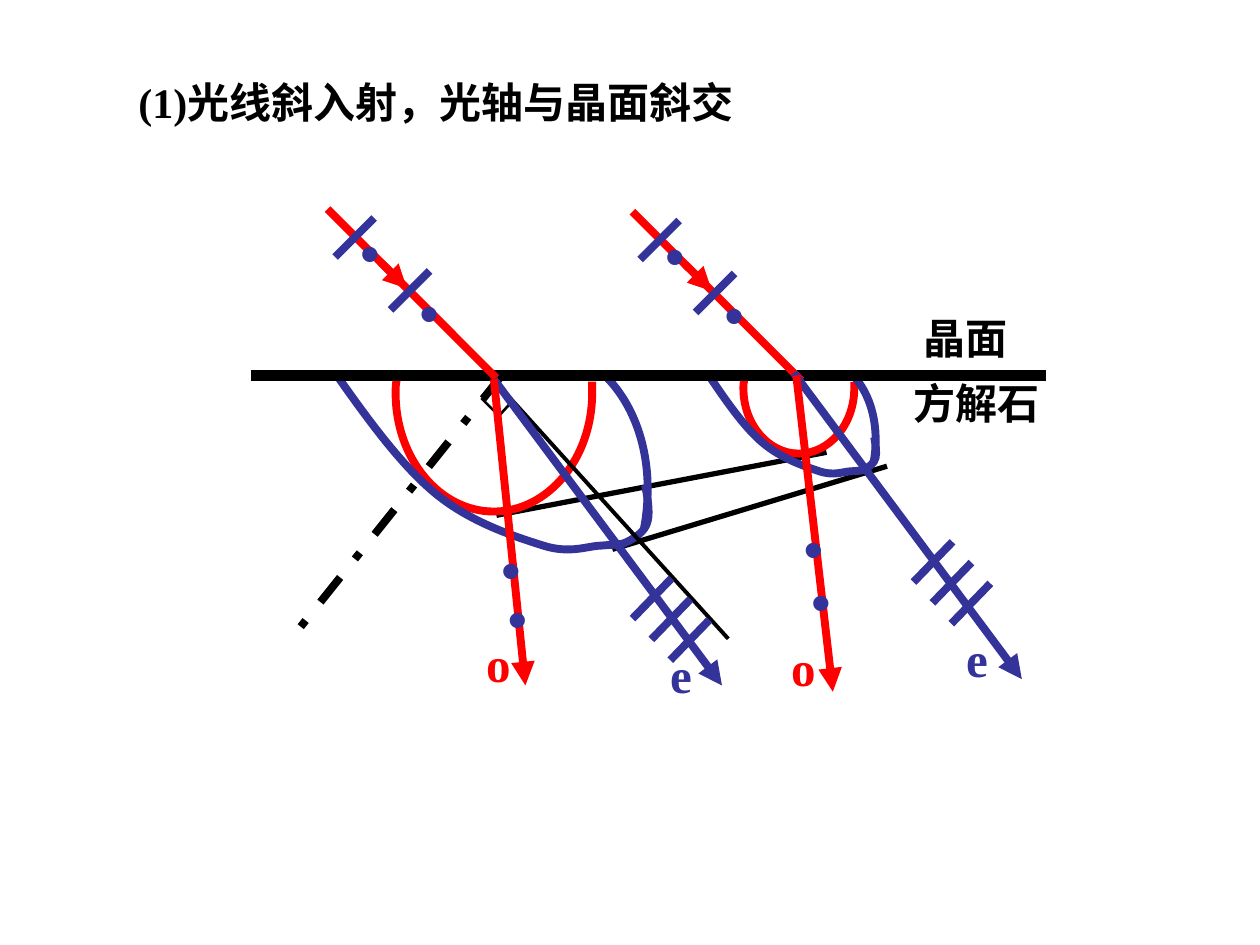
from dataclasses import dataclass

from lxml.etree import SubElement
from pptx import Presentation
from pptx.dml.color import RGBColor
from pptx.enum.dml import MSO_LINE
from pptx.enum.shapes import MSO_CONNECTOR
from pptx.enum.text import MSO_AUTO_SIZE
from pptx.oxml.ns import qn
from pptx.util import Inches, Pt

# The slide is a grid of 100 columns by 75 rows of square cells.
COLUMNS, ROWS = 100, 75
CELL = Inches(0.1)

BLACK = RGBColor(0x00, 0x00, 0x00)
RED = RGBColor(0xFF, 0x00, 0x00)
BLUE = RGBColor(0x33, 0x33, 0x99)
SERIF, SANS = "Times New Roman", "Arial"
RAY_WIDTH = 4.5

Point = tuple[float, float]


@dataclass(frozen=True)
class Box:
    left: float
    top: float
    width: float
    height: float


@dataclass(frozen=True)
class Curve:
    """Bézier points, three for each piece after the start, within a frame."""
    color: RGBColor
    width: float
    height: float
    points: tuple[Point, ...]


@dataclass(frozen=True)
class RefractedRay:
    start: Point
    end: Point
    color: RGBColor
    label: str
    label_at: Point
    first_tick: Point | None = None
    dots: tuple[Point, ...] = ()


O_WAVE = Curve(RED, 15.6, 10.5, (
    (15.6, 0.2), (15.6, 0.5), (15.6, 0.8), (15.6, 1.1), (15.6, 6.3), (12.1, 10.5),
    (7.8, 10.5), (3.5, 10.5), (0, 6.3), (0, 1.1), (0, 0.7), (0, 0.4), (0.1, 0)))
E_WAVE_SIDE = Curve(BLUE, 3.2, 12, (
    (0, 0), (2.1, 2.2), (3.2, 5.4), (3.2, 8.8), (3.2, 9.9), (3.1, 11), (2.9, 12)))
E_WAVE = Curve(BLUE, 25, 14.4, (
    (0, 0), (2.6, 3.7), (5.3, 7.4), (8, 9.6), (10.8, 11.9), (14.3, 13), (16.5, 13.7),
    (18.7, 14.4), (20.1, 13.7), (21.2, 13.7), (22.3, 13.6), (22.6, 13.7), (23.2, 13.4),
    (23.8, 13.1), (24.6, 12.6), (24.8, 11.8), (25, 11), (24.8, 9.9), (24.6, 8.9)))
WAVES = [
    (O_WAVE, Box(59, 30.2, 8.8, 5.8)), (O_WAVE, Box(31.4, 30.1, 15.6, 10.5)),
    (E_WAVE_SIDE, Box(67.8, 29.9, 1.7, 6.8)), (E_WAVE, Box(56.2, 29.7, 13.4, 8.1)),
    (E_WAVE_SIDE, Box(48.2, 30, 3.2, 12)), (E_WAVE, Box(26.6, 29.6, 25, 14.4)),
]

WAVEFRONT_TANGENTS = [((48.6, 43.6), (70.4, 37)), ((39.4, 40.9), (65.6, 35.9))]
INCIDENT_STARTS = [(26, 16.6), (50.2, 16.8)]
REFRACTED_RAYS = [
    RefractedRay((39.2, 30.1), (57.3, 54.4), BLUE, "e", (52.2, 50.7), first_tick=(53.3, 45.9)),
    RefractedRay((63, 29.6), (81.1, 53.9), BLUE, "e", (75.7, 49.4), first_tick=(75.6, 43)),
    RefractedRay((39.2, 30.1), (41.7, 54.4), RED, "o", (37.6, 49.8),
                 dots=((38.8, 41.9), (39.3, 45.8))),
    RefractedRay((63.2, 29.8), (66.1, 54.9), RED, "o", (61.8, 50.1),
                 dots=((62.8, 40.3), (63.4, 44.5))),
]


def shifted(point: Point, right: float, down: float) -> Point:
    return point[0] + right, point[1] + down


def cells(*values: float) -> list[int]:
    return [round(value * CELL) for value in values]


def add_line(shapes, start: Point, end: Point, color: RGBColor, width: float,
             arrow: bool = False, dash: MSO_LINE | None = None) -> None:
    connector = shapes.add_connector(MSO_CONNECTOR.STRAIGHT, *cells(*start, *end))
    connector.line.color.rgb = color
    connector.line.width = Pt(width)
    if dash is not None:
        connector.line.dash_style = dash
    if arrow:
        SubElement(connector.line._get_or_add_ln(), qn("a:tailEnd"), type="triangle")
    SubElement(connector._element.spPr, qn("a:effectLst"))


def add_text(shapes, text: str, box: Box, size: float, color: RGBColor,
             font_name: str = SERIF, bold: bool = True) -> None:
    text_box = shapes.add_textbox(*cells(box.left, box.top, box.width, box.height))
    text_frame = text_box.text_frame
    text_frame.text = text
    text_frame.word_wrap = True
    text_frame.auto_size = MSO_AUTO_SIZE.SHAPE_TO_FIT_TEXT
    font = text_frame.paragraphs[0].runs[0].font
    font.name, font.size, font.bold = font_name, Pt(size), bold
    font.color.rgb = color


def add_dot(shapes, position: Point) -> None:
    add_text(shapes, "•", Box(*position, 4.6, 6.4), 32, BLUE, SANS, bold=False)


def add_curve(shapes, curve: Curve, box: Box) -> None:
    """Fit the curve to the box, turning each three straight pieces into one Bézier."""
    first, *others = [
        cells(box.left + x / curve.width * box.width, box.top + y / curve.height * box.height)
        for x, y in curve.points]
    builder = shapes.build_freeform(*first)
    builder.add_line_segments(others, close=False)
    shape = builder.convert_to_shape()
    shape.shadow.inherit = False
    shape.fill.background()
    shape.line.color.rgb = curve.color
    shape.line.width = Pt(RAY_WIDTH)
    outline = next(shape._element.iter(qn("a:path")))
    segments = outline.findall(qn("a:lnTo"))
    for index in range(0, len(segments), 3):
        bezier = SubElement(outline, qn("a:cubicBezTo"))
        for segment in segments[index:index + 3]:
            bezier.append(segment[0])
            outline.remove(segment)


def add_incident_ray(shapes, start: Point) -> None:
    add_line(shapes, start, shifted(start, 13.4, 13.4), RED, RAY_WIDTH)
    add_line(shapes, shifted(start, 4.2, 4.2), shifted(start, 6.3, 6.3), RED, RAY_WIDTH, arrow=True)
    for right, down in [(0.6, 3.8), (5, 8)]:
        tick = shifted(start, right, down)
        add_line(shapes, tick, shifted(tick, 3.1, -3.1), BLUE, RAY_WIDTH)
    for right, down in [(1.6, 0.2), (6.3, 4.9)]:
        add_dot(shapes, shifted(start, right, down))


def add_refracted_ray(shapes, ray: RefractedRay) -> None:
    add_line(shapes, ray.start, ray.end, ray.color, RAY_WIDTH, arrow=True)
    if ray.first_tick:
        for number in range(3):
            tick = shifted(ray.first_tick, 1.5 * number, 1.65 * number)
            add_line(shapes, tick, shifted(tick, -3.1, 3.2), BLUE, RAY_WIDTH)
    for dot in ray.dots:
        add_dot(shapes, dot)
    add_text(shapes, ray.label, Box(*ray.label_at, 6, 5.7), 28, ray.color)


def add_crystal(shapes) -> None:
    """Draw the surface, the optic axis and its right angle with the wavefront line."""
    add_text(shapes, "晶面", Box(72.3, 24.3, 9.7, 5), 24, BLACK)
    add_text(shapes, "方解石", Box(71.5, 29.5, 12.3, 5), 24, BLACK)
    add_line(shapes, (19.9, 29.8), (83, 29.8), BLACK, 6)
    add_line(shapes, (39.9, 29.7), (23.1, 50.7), BLACK, RAY_WIDTH, dash=MSO_LINE.DASH_DOT)
    add_line(shapes, (39.5, 30.5), (57.8, 50.7), BLACK, 2.25)
    corner = (39.6, 33)
    add_line(shapes, (38.2, 31.6), corner, BLACK, 1.5)
    add_line(shapes, corner, (40.7, 31.8), BLACK, 1.5)


def main() -> None:
    presentation = Presentation()
    presentation.slide_width, presentation.slide_height = cells(COLUMNS, ROWS)
    slide = presentation.slides.add_slide(presentation.slide_layouts[6])
    shapes = slide.shapes
    add_text(shapes, "(1)光线斜入射，光轴与晶面斜交", Box(10, 5.6, 69.5, 5), 24, BLACK)
    for start, end in WAVEFRONT_TANGENTS:
        add_line(shapes, start, end, BLACK, 3)
    for curve, box in WAVES:
        add_curve(shapes, curve, box)
    add_crystal(shapes)
    for start in INCIDENT_STARTS:
        add_incident_ray(shapes, start)
    for ray in REFRACTED_RAYS:
        add_refracted_ray(shapes, ray)
    presentation.save("out.pptx")


if __name__ == "__main__":
    main()
